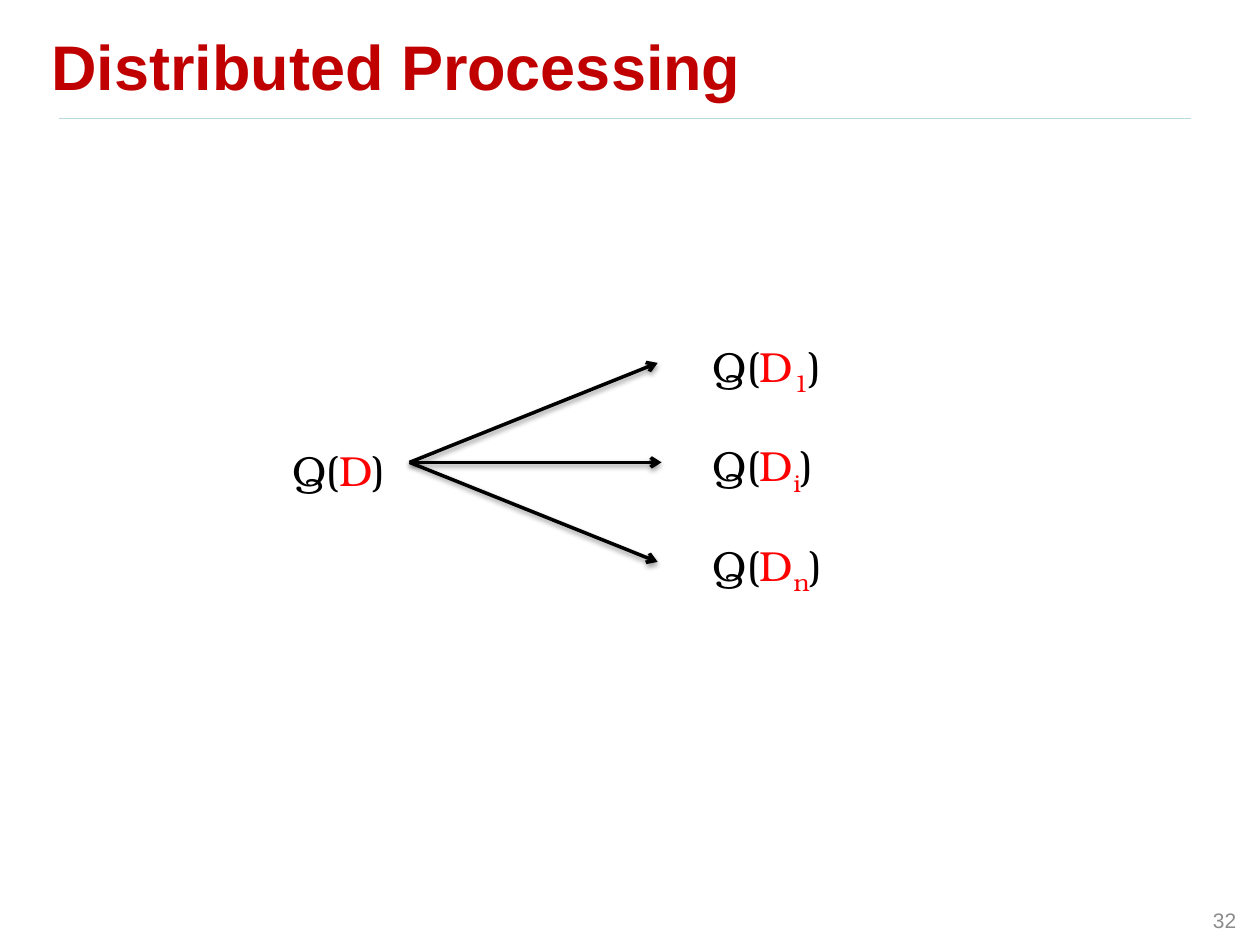
import pptx
import pptx.util
import pptx.dml.color
import pptx.enum.shapes
import pptx.enum.text
import pptx.oxml
import pptx.oxml.ns
import lxml.etree

Inches = pptx.util.Inches
Pt = pptx.util.Pt
RGBColor = pptx.dml.color.RGBColor
ALIGN = pptx.enum.text.PP_ALIGN
ANCHOR = pptx.enum.text.MSO_ANCHOR

BLACK = RGBColor(0x00, 0x00, 0x00)
RED = RGBColor(0xFF, 0x00, 0x00)
TITLE_RED = RGBColor(0xC0, 0x00, 0x00)
RULE_TEAL = RGBColor(0xB6, 0xDC, 0xDF)
GREY = RGBColor(0x8C, 0x8C, 0x8C)

SHADOW = (
    '<a:effectLst %s><a:outerShdw blurRad="%d" dist="%d" dir="5400000" rotWithShape="0">'
    '<a:srgbClr val="000000"><a:alpha val="38000"/></a:srgbClr></a:outerShdw></a:effectLst>'
    % (pptx.oxml.ns.nsdecls("a"), Pt(3.1), Pt(1.6))
)


class SlideBuilder:
    body_font = "Arial"
    formula_font = "TeX Gyre Bonum"

    def __init__(self, page):
        self.page = page

    def line(self, start, end, color, width):
        line = self.page.shapes.add_connector(
            pptx.enum.shapes.MSO_CONNECTOR.STRAIGHT,
            *[Inches(value) for value in start + end])
        line.line.color.rgb = color
        line.line.width = Pt(width)
        return line

    def rule(self, start, end):
        line = self.line(start, end, RULE_TEAL, 0.75)
        lxml.etree.SubElement(line._element.spPr, pptx.oxml.ns.qn("a:effectLst"))

    def arrow(self, start, end):
        line = self.line(start, end, BLACK, 2)
        outline = line.line._get_or_add_ln()
        lxml.etree.SubElement(outline, pptx.oxml.ns.qn("a:tailEnd"), type="arrow")
        line._element.spPr.append(pptx.oxml.parse_xml(SHADOW))

    def text_frame(self, left, top, width, height):
        box = self.page.shapes.add_textbox(
            Inches(left), Inches(top), Inches(width), Inches(height))
        return box.text_frame

    def span(self, para, text, font, size, color, bold=False):
        span = para.add_run()
        span.text = text
        span.font.name = font
        span.font.size = Pt(size)
        span.font.color.rgb = color
        span.font.bold = bold
        return span

    def label(self, place, text, size, color, align=ALIGN.LEFT, bold=False):
        frame = self.text_frame(*place)
        frame.word_wrap = True
        frame.vertical_anchor = ANCHOR.MIDDLE
        para = frame.paragraphs[0]
        para.alignment = align
        self.span(para, text, self.body_font, size, color, bold)

    def query(self, left, top, width, subscript=""):
        frame = self.text_frame(left, top, width, 0.5)
        frame.word_wrap = False
        frame.auto_size = pptx.enum.text.MSO_AUTO_SIZE.SHAPE_TO_FIT_TEXT
        para = frame.paragraphs[0]
        self.span(para, "Q(", self.formula_font, 24, BLACK)
        self.span(para, "D", self.formula_font, 24, RED)
        if subscript:
            index = self.span(para, subscript, self.formula_font, 24, RED)
            index.font._element.set("baseline", "-25000")
        self.span(para, ")", self.formula_font, 24, BLACK)


deck = pptx.Presentation()
deck.slide_width = Inches(10)
deck.slide_height = Inches(7.5)
builder = SlideBuilder(deck.slides.add_slide(deck.slide_layouts[6]))

builder.rule((0.47, 0.94), (9.45, 0.94))
builder.label((7.58, 7.1, 2.33, 0.4), "32", 12, GREY, align=ALIGN.RIGHT)
builder.label((0.31, 0.08, 9.14, 0.87), "Distributed Processing", 36, TITLE_RED, bold=True)

middle = 3.67
spread = 0.79
builder.query(2.22, 3.48, 0.97)
for step, subscript, width, shift in (
        (-1, "1", 1.09, 0), (0, "i", 1.03, 0.03), (1, "n", 1.1, 0)):
    offset = step * spread
    builder.arrow((3.25 + shift, middle), (5.22 + shift, middle + offset))
    builder.query(5.56, 3.44 + offset, width, subscript)

deck.save("out.pptx")
